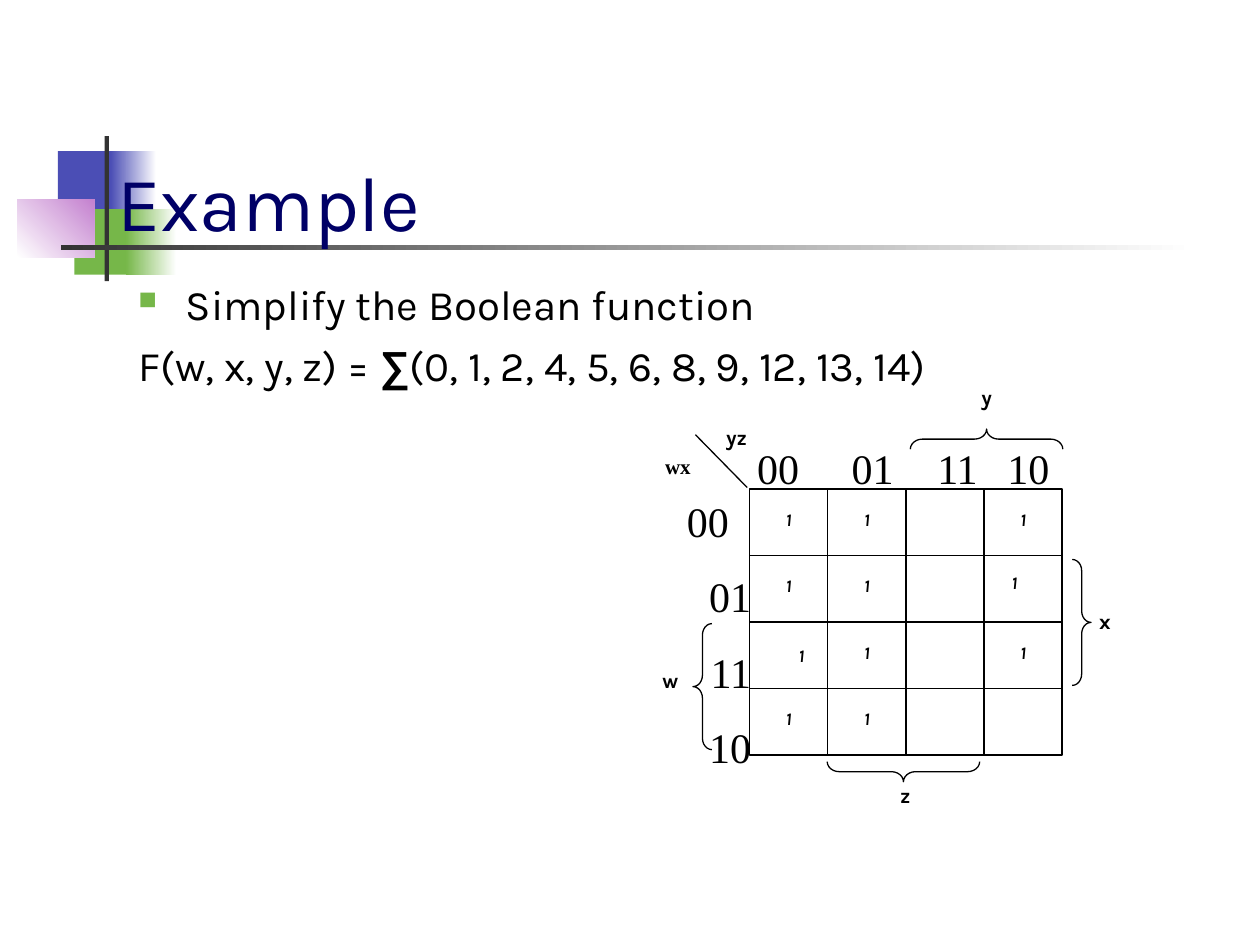
"""Build the Karnaugh map example slide."""
from lxml import etree
from pptx import Presentation
from pptx.dml.color import RGBColor
from pptx.enum.shapes import MSO_CONNECTOR, MSO_SHAPE
from pptx.enum.text import MSO_ANCHOR, PP_ALIGN
from pptx.oxml.ns import qn
from pptx.util import Pt

RECT = MSO_SHAPE.RECTANGLE
LBRACE, RBRACE = MSO_SHAPE.LEFT_BRACE, MSO_SHAPE.RIGHT_BRACE
LINE = MSO_CONNECTOR.STRAIGHT
LEFT, MID, RIGHT = PP_ALIGN.LEFT, PP_ALIGN.CENTER, PP_ALIGN.RIGHT
HEX = {"blue": "4B4EB5", "green": "76B749", "pink": "C481CF", "gray": "333333",
       "navy": "000066", "black": "000000", "white": "FFFFFF"}
RGB = {name: RGBColor.from_string(code) for name, code in HEX.items()}
HEAD = {"name": "Karla", "size": Pt(44)}
BODY = {"name": "Karla", "size": Pt(24)}
SUM = {"name": "Arial", "size": Pt(24), "bold": True}
AXIS = {"name": "Times New Roman", "size": Pt(24)}
TAG = {"name": "Karla", "size": Pt(12), "bold": True}
ROMAN = {**TAG, "name": "Times New Roman"}
ONE = {"name": "Karla", "size": Pt(10), "bold": True, "italic": True}

deck = Presentation()
deck.slide_width, deck.slide_height = Pt(720), Pt(540)
slide = deck.slides.add_slide(deck.slide_layouts[6])
shapes = slide.shapes


def write(box, lines, align=LEFT, color="black"):
    """Fill a new text box with lines of (text, style) runs."""
    frame = shapes.add_textbox(*map(Pt, box)).text_frame
    frame.word_wrap = True
    for i, runs in enumerate(lines):
        para = frame.paragraphs[0] if i == 0 else frame.add_paragraph()
        para.alignment = align
        for text, style in runs:
            run = para.add_run()
            run.text = text
            run.font.color.rgb = RGB[color]
            for key, val in style.items():
                setattr(run.font, key, val)
    return frame


def rule(x1, y1, x2, y2):
    """Draw a thin black line without a shadow."""
    line = shapes.add_connector(LINE, Pt(x1), Pt(y1), Pt(x2), Pt(y2))
    line.line.color.rgb = RGB["black"]
    line.line.width = Pt(0.75)
    etree.SubElement(line._element.spPr, qn("a:effectLst"))
    return line


blocks = [
    ((33.1, 86.4, 34.6, 37.4), ["blue"], 0),
    ((63.4, 86.4, 25.9, 37.4), ["blue", "white"], 0),
    ((42.5, 119.5, 33.1, 37.4), ["green"], 0),
    ((72, 119.5, 28.8, 37.4), ["green", "white"], 0),
    ((10, 113.8, 44, 33.1), ["white", "pink"], 45),
    ((59.8, 77.8, 2.5, 82.8), ["gray"], 0),
    ((34.9, 140.2, 648, 2.5), ["gray", "white"], 0),
]
for box, tones, turn in blocks:
    block = shapes.add_shape(RECT, *map(Pt, box))
    block.shadow.inherit = False
    block.line.fill.background()
    if len(tones) == 1:
        block.fill.solid()
        block.fill.fore_color.rgb = RGB[tones[0]]
    else:
        block.fill.gradient()
        block.fill.gradient_angle = turn
        for stop, tone in zip(block.fill.gradient_stops, tones):
            stop.color.rgb = RGB[tone]

title = write((59.8, 29.5, 613.4, 115.2), [[("Example", HEAD)]], color="navy")
title.vertical_anchor = MSO_ANCHOR.BOTTOM

body = write((72, 155.5, 612, 324), [
    [("Simplify the Boolean function", BODY)],
    [("F(w, x, y, z) = ", BODY), ("∑", SUM),
     ("(0, 1, 2, 4, 5, 6, 8, 9, 12, 13, 14)", BODY)],
])
for para in body.paragraphs:
    props = para._p.get_or_add_pPr()
    props.set("marL", str(Pt(27)))
    props.set("indent", str(-Pt(27)))
props = body.paragraphs[0]._p.get_or_add_pPr()
tint = etree.SubElement(props, qn("a:buClr"))
etree.SubElement(tint, qn("a:srgbClr"), val=HEX["green"])
etree.SubElement(props, qn("a:buSzPct"), val="60000")
etree.SubElement(props, qn("a:buChar"), char="■")
body.paragraphs[1].space_before = Pt(6)

X, Y, W, H = 428.4, 279.4, 44.64, 38
grid = shapes.add_shape(RECT, Pt(X), Pt(Y), Pt(4 * W), Pt(4 * H))
grid.shadow.inherit = False
grid.fill.background()
grid.line.color.rgb = RGB["black"]
grid.line.width = Pt(0.75)
for i in range(1, 4):
    row = rule(X, Y + i * H, X + 4 * W, Y + i * H)
    col = rule(X + i * W, Y, X + i * W, Y + 4 * H)
    if i == 2:
        row.begin_connect(grid, 1)
        row.end_connect(grid, 3)
        col.begin_connect(grid, 0)
        col.end_connect(grid, 2)
rule(427, 278.6, 397.4, 248.4)

moved = {(1, 3): (563.8, 323.3, 31.7, 22.3), (2, 0): (439.2, 365, 37.4, 21.6)}
for r, marks in enumerate(["11 1", "11 1", "11 1", "11  "]):
    for c, mark in enumerate(marks):
        if mark == "1":
            cell = (X + c * W, Y + r * H + 7.9, W, 30.2)
            write(moved.get((r, c), cell), [[(mark, ONE)]], MID)

braces = [
    (LBRACE, (396, 356.4, 10.8, 72), 0),
    (LBRACE, (558, 207.4, 11.5, 87.1), 90),
    (LBRACE, (510.5, 397.4, 11.5, 87.1), 270),
    (RBRACE, (612.7, 319.7, 10.8, 72), 0),
]
for kind, box, turn in braces:
    brace = shapes.add_shape(kind, *map(Pt, box))
    brace.shadow.inherit = False
    brace.fill.background()
    brace.line.color.rgb = RGB["black"]
    brace.line.width = Pt(0.75)
    brace.adjustments[0] = 0.6
    brace.rotation = turn

tags = [
    ("w", (366.5, 378, 33.1, 30.2), TAG),
    ("x", (614.9, 344.2, 33.1, 30.2), TAG),
    ("y", (547.2, 216, 33.1, 23.8), TAG),
    ("z", (501.1, 443.5, 32.4, 23), TAG),
    ("wx", (360, 255.6, 54.7, 27.4), ROMAN),
    ("yz", (401.8, 239, 38.2, 24.5), TAG),
]
for text, box, style in tags:
    write(box, [[(text, style)]], MID)

top = write((425.5, 249.1, 222.5, 49), [[("00\t01\t11\t10", AXIS)]])
stops = etree.SubElement(top.paragraphs[0]._p.get_or_add_pPr(), qn("a:tabLst"))
for pos in (54, 103, 143):
    etree.SubElement(stops, qn("a:tab"), pos=str(Pt(pos)), algn="l")

side = write((366.5, 265, 69.8, 208),
             [[(code, AXIS)] for code in ("00", "01", "11", "10")], RIGHT)
for para in side.paragraphs:
    para.line_spacing = 1.5
first = side.paragraphs[0]
first.alignment = LEFT
first._p.get_or_add_pPr().set("marL", str(Pt(19)))

deck.save("out.pptx")
